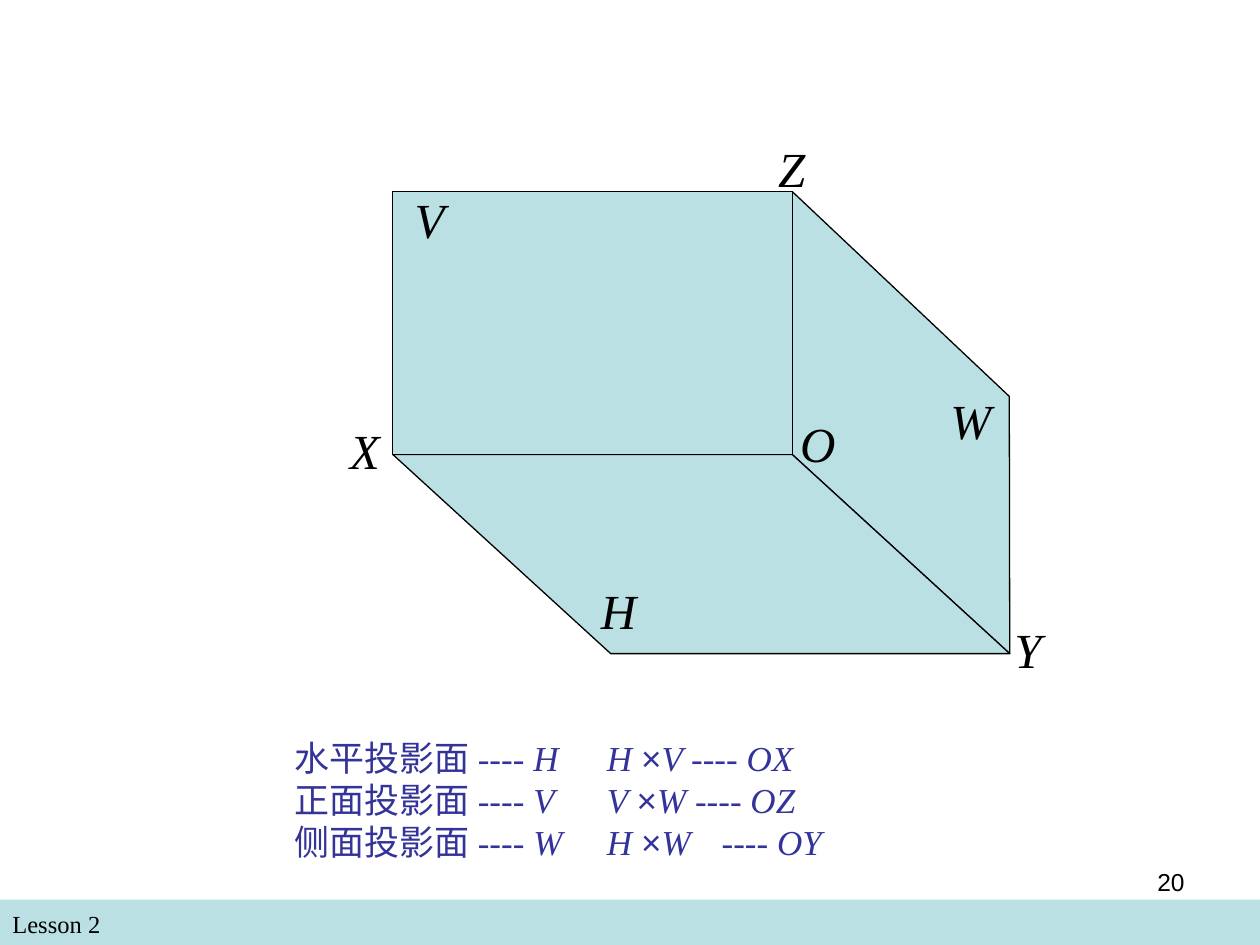
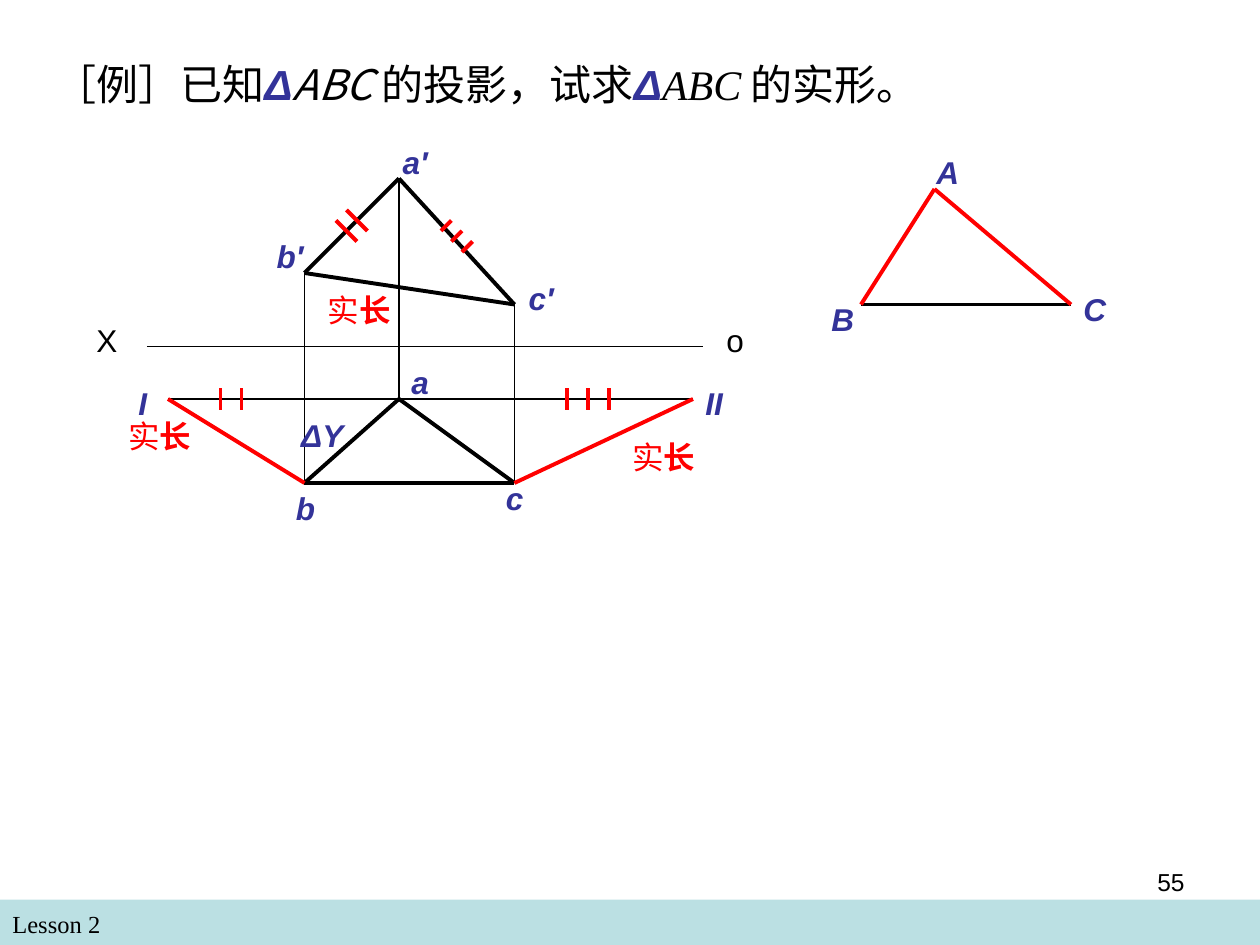
from dataclasses import dataclass, replace

from lxml.etree import SubElement
from pptx import Presentation
from pptx.dml.color import RGBColor
from pptx.enum.shapes import MSO_CONNECTOR, MSO_SHAPE
from pptx.enum.text import MSO_ANCHOR, MSO_AUTO_SIZE, PP_ALIGN
from pptx.oxml.ns import qn
from pptx.util import Pt

BLACK, RED, BLUE, TEAL = "000000", "FF0000", "333399", "BBE0E3"
ARIAL, TIMES, CJK = "Arial", "Times New Roman", "Noto Sans CJK SC"
THIN, THICK = 0.75, 2.25


def rgb(value):
    return RGBColor.from_string(value)


@dataclass(frozen=True)
class Style:
    size: float
    font: str = ARIAL
    color: str = BLACK
    bold: bool = False
    italic: bool = False
    cjk: bool = False


FOOTER = Style(14, TIMES)
NUMBER = Style(14)
PLANE = Style(28, TIMES, italic=True)
AXIS = Style(18)
POINT = Style(18, color=BLUE, bold=True, italic=True)
LENGTH = Style(18, color=RED, cjk=True)
LEGEND = Style(20, TIMES, BLUE, cjk=True)
TITLE = Style(24, CJK, cjk=True)


class Deck:
    def __init__(self):
        self.prs = Presentation()
        self.prs.slide_width, self.prs.slide_height = Pt(720), Pt(540)
        self.s = None

    def slide(self):
        """Add a slide with the band and its footer."""
        self.s = self.prs.slides.add_slide(self.prs.slide_layouts[6])
        self.rect(0, 514, 720, 26, line=None)
        self.text(0, 516, 348, 24, [[("Lesson 2", FOOTER)]])

    def number(self, value):
        self.text(516, 492, 168, 37, [[(value, NUMBER)]], align=PP_ALIGN.RIGHT)

    def paint(self, sp, line):
        sp.shadow.inherit = False
        sp.fill.solid()
        sp.fill.fore_color.rgb = rgb(TEAL)
        if line is None:
            sp.line.fill.background()
        else:
            sp.line.color.rgb = rgb(line)
            sp.line.width = Pt(THIN)

    def rect(self, x, y, w, h, line=BLACK):
        sp = self.s.shapes.add_shape(MSO_SHAPE.RECTANGLE, Pt(x), Pt(y), Pt(w), Pt(h))
        self.paint(sp, line)

    def polygon(self, points):
        start, *rest = [(Pt(x), Pt(y)) for x, y in points]
        builder = self.s.shapes.build_freeform(*start, scale=1.0)
        builder.add_line_segments(rest, close=True)
        self.paint(builder.convert_to_shape(), BLACK)

    def line(self, start, end, color=BLACK, width=THICK):
        ends = [Pt(v) for v in (*start, *end)]
        cn = self.s.shapes.add_connector(MSO_CONNECTOR.STRAIGHT, *ends)
        cn.line.color.rgb = rgb(color)
        cn.line.width = Pt(width)
        SubElement(cn._element.spPr, qn("a:effectLst"))

    def ticks(self, first, delta, step, count):
        """Draw equal red marks, each moved on by step."""
        for i in range(count):
            x, y = first[0] + i * step[0], first[1] + i * step[1]
            self.line((x, y), (x + delta[0], y + delta[1]), RED)

    def text(self, x, y, w, h, paragraphs, align=PP_ALIGN.LEFT,
             anchor=MSO_ANCHOR.TOP, wrap=True, tabs=()):
        tf = self.s.shapes.add_textbox(Pt(x), Pt(y), Pt(w), Pt(h)).text_frame
        tf.word_wrap = wrap
        tf.vertical_anchor = anchor
        tf.auto_size = MSO_AUTO_SIZE.NONE if wrap else MSO_AUTO_SIZE.SHAPE_TO_FIT_TEXT
        for i, runs in enumerate(paragraphs):
            p = tf.paragraphs[0] if i == 0 else tf.add_paragraph()
            p.alignment = align
            if any(style.cjk for _, style in runs):
                p.line_spacing = Pt(1.2 * runs[0][1].size)
            if tabs:
                tab_list = SubElement(p._p.get_or_add_pPr(), qn("a:tabLst"))
                for pos in tabs:
                    SubElement(tab_list, qn("a:tab"), pos=str(Pt(pos)), algn="l")
            for words, style in runs:
                self.run(p, words, style)

    def run(self, p, words, style):
        r = p.add_run()
        r.text = words
        r.font.size = Pt(style.size)
        r.font.name = style.font
        r.font.bold, r.font.italic = style.bold, style.italic
        r.font.color.rgb = rgb(style.color)
        if style.cjk:
            SubElement(r._r.get_or_add_rPr(), qn("a:ea"), typeface=CJK)

    def label(self, words, x, y, w):
        self.text(x, y, w, 28.8, [[(words, POINT)]], wrap=False)


def projection_planes(deck):
    deck.slide()

    # Three planes meeting at O
    x, z, o = (224.5, 259.75), (452.75, 109.5), (452.75, 259.75)
    y = (577, 373.5)
    deck.polygon([z, (576.75, 226.5), y, o])
    deck.polygon([x, (349, 373.5), y, o])
    deck.rect(x[0], z[1], o[0] - x[0], o[1] - z[1])

    # Plane and axis letters, placed by their centre
    letters = [("H", 353.5, 328), ("V", 245.5, 104.5), ("X", 208.5, 236.5),
               ("O", 467.25, 232.5), ("Z", 452.5, 75.5), ("Y", 587.5, 350.5),
               ("W", 554, 219.5)]
    for letter, centre, top in letters:
        deck.text(centre - 18, top, 36, 41, [[(letter, PLANE)]],
                  PP_ALIGN.CENTER, MSO_ANCHOR.MIDDLE, wrap=False)

    # Legend of planes and the axes where they cross
    slanted = replace(LEGEND, italic=True, cjk=False)
    upright = replace(LEGEND, cjk=False)
    times = replace(upright, font=ARIAL)
    rows = [("水平投影面", "H\tH ", "V ", "OX"),
            ("正面投影面", "V\tV ", "W ", "OZ"),
            ("侧面投影面", "W\tH ", "W\t", "OY")]
    legend = [[(name + " ---- ", LEGEND), (first, slanted), ("×", times),
               (second, slanted), ("---- ", upright), (axis, slanted)]
              for name, first, second, axis in rows]
    deck.text(161.25, 393.25, 394, 127, legend, anchor=MSO_ANCHOR.MIDDLE,
              tabs=(178.5, 244))
    deck.number("20")


def true_shape(deck):
    deck.slide()

    # Title
    delta = replace(POINT, size=24)
    deck.text(24, 30, 641, 36, [[
        ("［例］已知", TITLE), ("Δ", delta), ("ABC ", replace(TITLE, italic=True)),
        ("的投影，试求", TITLE), ("Δ", delta),
        ("ABC", Style(24, TIMES, italic=True)), (" ", AXIS),
        ("的实形。", TITLE)]])

    # Front view (a2, b2, c2) above the axis and top view (a, b, c) below
    a2, b2, c2 = (228, 102), (174, 156), (294, 174)
    a, b, c = (228, 228), (174, 276), (294, 276)
    one, two = (96, 228), (396, 228)
    deck.line((84, 198), (402, 198), width=THIN)
    for p, q, r in ((a2, b2, c2), (a, b, c)):
        for start, end in ((p, q), (q, r), (p, r)):
            deck.line(start, end)
    for start, end in ((a2, a), (b2, b), (c2, c), (a, one), (a, two)):
        deck.line(start, end, width=THIN)

    # True lengths and the triangle built from them
    top, left, right = (534, 108), (492, 174), (612, 174)
    deck.line(left, right)
    for start, end in ((one, b), (c, two), (left, top), (top, right)):
        deck.line(start, end, RED)

    # Marks for equal lengths
    deck.ticks((192, 126), (12, 12), (6, -6), 2)
    deck.ticks((258, 126), (-6, 6), (6, 6), 3)
    deck.ticks((126, 222), (0, 12), (12, 0), 2)
    deck.ticks((324, 222), (0, 12), (12, 0), 3)

    # Labels
    for words, x in (("X", 48), ("o", 408)):
        deck.text(x, 180, 54, 28.8, [[(words, AXIS)]])
    for words, x, y, w in (
            ("a", 228, 204, 24.5), ("b", 162, 276, 25), ("c", 282, 270, 24.5),
            ("b′", 151, 132, 29.5), ("a′", 223, 78, 29), ("c′", 295, 156, 29),
            ("I", 72, 216, 19.5), ("II", 396, 216, 24.5),
            ("A", 528, 84, 27.5), ("B", 468, 168, 27.5), ("C", 612, 162, 27.5)):
        deck.label(words, x, y, w)
    deck.text(165, 234, 54, 28.8, [[("ΔY", POINT)]])
    for x, y in ((66.25, 234.5), (354.25, 246.5), (180.25, 162.5)):
        deck.text(x, y, 50.4, 28.8,
                  [[("实", LENGTH), ("长", replace(LENGTH, bold=True))]], wrap=False)
    deck.number("55")


def main():
    deck = Deck()
    projection_planes(deck)
    true_shape(deck)
    deck.prs.save("out.pptx")


if __name__ == "__main__":
    main()
